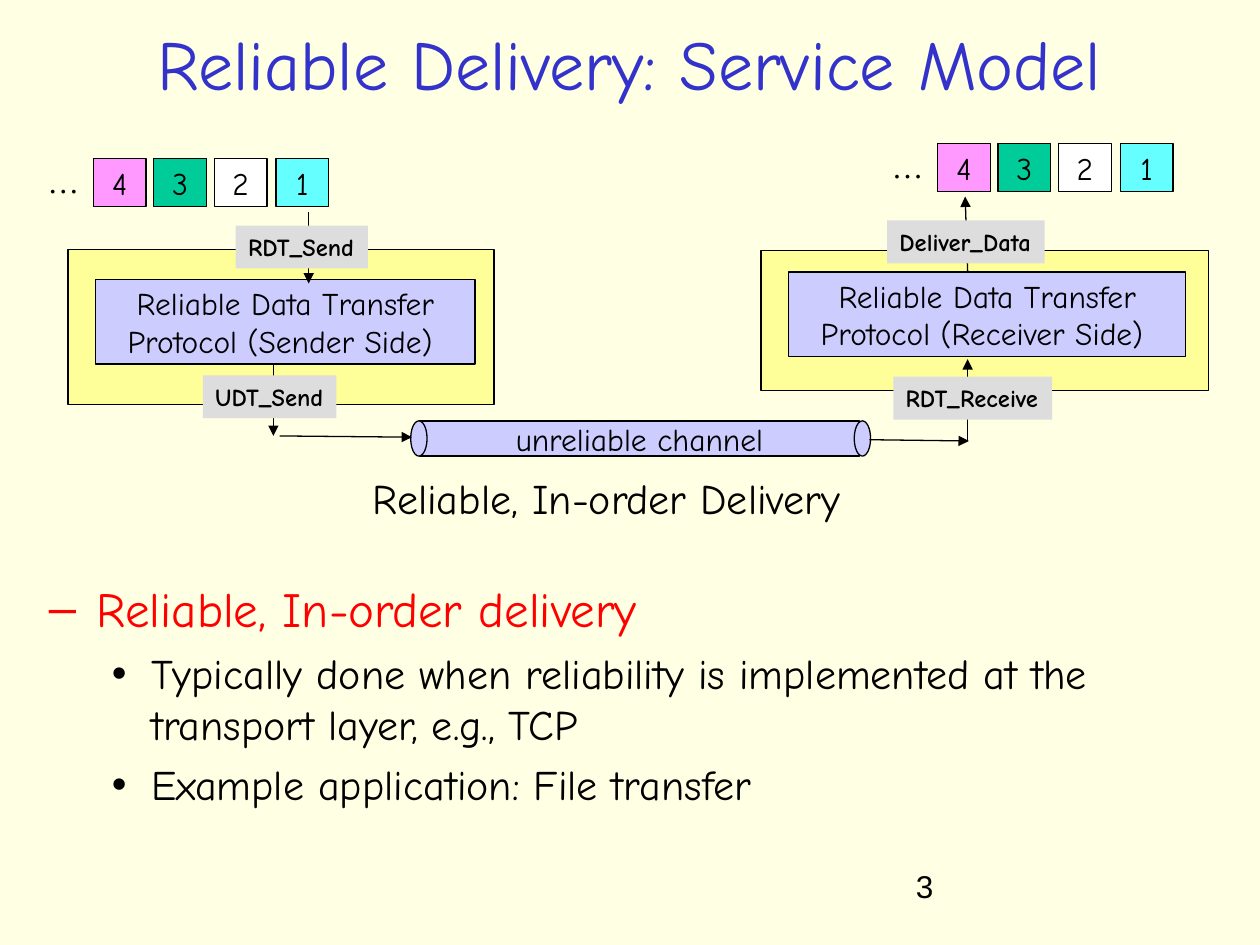
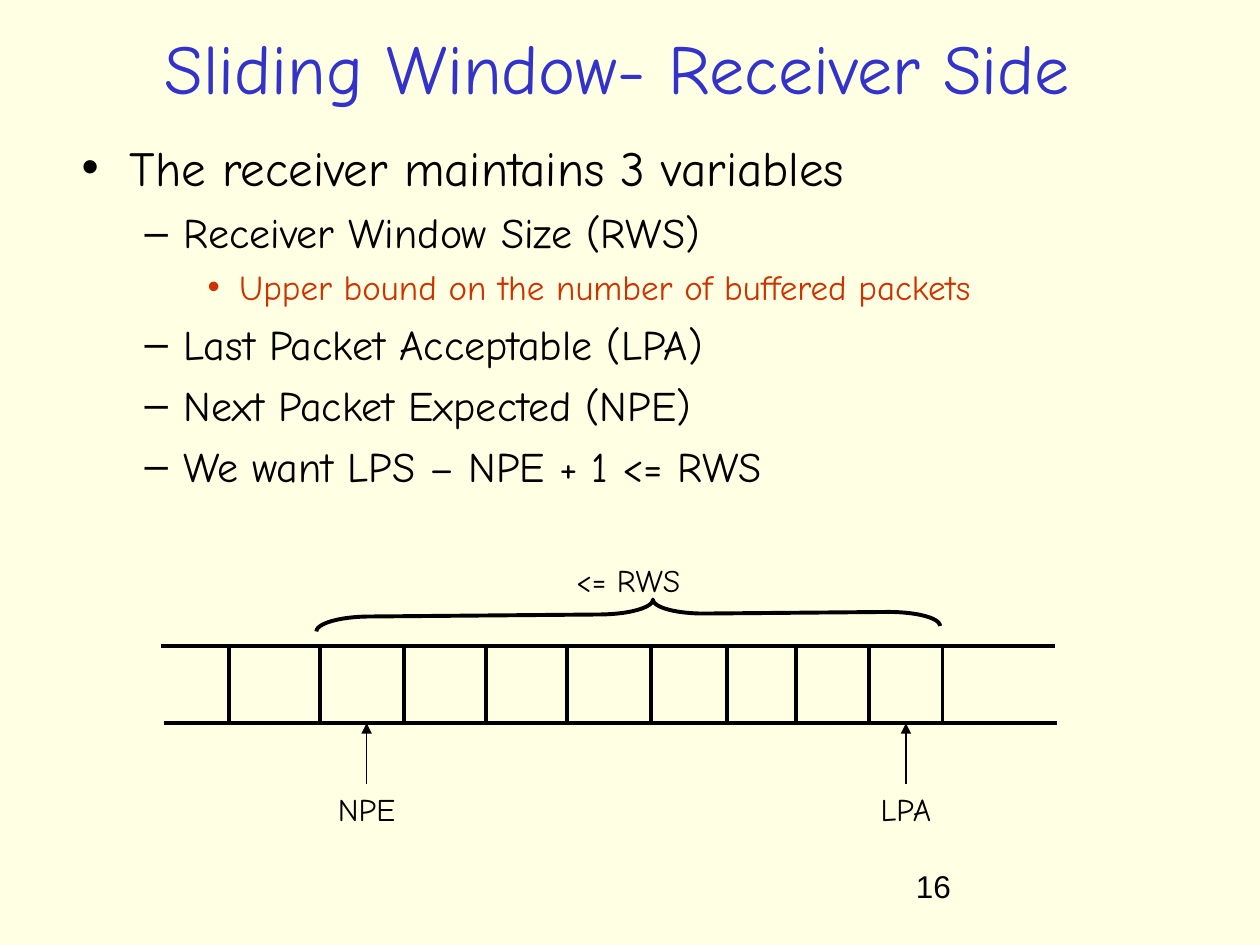
from dataclasses import dataclass
from typing import NamedTuple

from lxml import etree
from pptx import Presentation
from pptx import util as u
from pptx.dml.color import RGBColor
from pptx.enum import shapes, text
from pptx.oxml import ns

# Shared look
EMU_PER_PX = 9144  # 100 px to the inch
FONT = "Comic Neue"
BLACK, WHITE, RED, RUST = "000000", "FFFFFF", "FF0000", "CC3300"
CREAM, TITLE_BLUE = "FFFFE3", "3333CC"
LAVENDER, YELLOW, GREY = "CCCCFF", "FFFF99", "DDDDDD"
LEFT, CENTER = text.PP_ALIGN.LEFT, text.PP_ALIGN.CENTER
TOP, MIDDLE = text.MSO_ANCHOR.TOP, text.MSO_ANCHOR.MIDDLE
THIN, THICK = 0.75, 2.25


class Box(NamedTuple):
    left: int
    top: int
    width: int
    height: int


class Arrow(NamedTuple):
    x1: int
    y1: int
    x2: int
    y2: int


class Tag(NamedTuple):
    name: str
    left: int
    top: int
    width: int


class Level(NamedTuple):
    margin: int
    hanging: int
    size: int
    space_before: int


class Bullet(NamedTuple):
    words: str
    level: int
    mark: str
    color: str = BLACK


class Pointer(NamedTuple):
    name: str
    x: int


@dataclass(frozen=True)
class Endpoint:
    panel: Box
    protocol: Box
    role: str
    packets_left: int
    packets_top: int
    arrows: tuple[Arrow, ...]
    tags: tuple[Tag, ...]


LEVELS = (Level(38, 38, 28, 7), Level(81, 31, 24, 6), Level(125, 25, 20, 5))


def px(length: int) -> u.Emu:
    return u.Emu(length * EMU_PER_PX)


def rgb(color: str) -> RGBColor:
    return RGBColor.from_string(color)


# Text
def write(frame, words: str, *, size: int = 18, color: str = BLACK, font: str = FONT,
          bold: bool = False, align=LEFT, space_before: int = 0):
    """Add one paragraph, filling the frame's first one if it is still empty."""
    first = frame.paragraphs[0]
    paragraph = frame.add_paragraph() if first.runs else first
    paragraph.alignment = align
    paragraph.space_before = u.Pt(space_before)
    run = paragraph.add_run()
    run.text = words
    run.font.size, run.font.name, run.font.bold = u.Pt(size), font, bold
    run.font.color.rgb = rgb(color)
    return paragraph


def set_frame(shape, *, anchor=TOP, wrap: bool = True, grow: bool = False):
    frame = shape.text_frame
    frame.word_wrap = wrap
    frame.vertical_anchor = anchor
    fit = text.MSO_AUTO_SIZE
    frame.auto_size = fit.SHAPE_TO_FIT_TEXT if grow else fit.NONE
    return frame


def add_label(slide, box: Box, words: str, *, anchor=TOP, wrap: bool = True,
              grow: bool = False, **style):
    label = slide.shapes.add_textbox(*map(px, box))
    write(set_frame(label, anchor=anchor, wrap=wrap, grow=grow), words, **style)
    return label


def add_bullets(slide, box: Box, bullets: tuple[Bullet, ...]) -> None:
    frame = set_frame(slide.shapes.add_textbox(*map(px, box)))
    for bullet in bullets:
        level = LEVELS[bullet.level]
        paragraph = write(frame, bullet.words, size=level.size, color=bullet.color,
                          space_before=level.space_before)
        paragraph.level = bullet.level
        props = paragraph._p.get_or_add_pPr()
        props.set("marL", str(px(level.margin)))
        props.set("indent", str(-px(level.hanging)))
        mark_color = etree.SubElement(props, ns.qn("a:buClr"))
        etree.SubElement(mark_color, ns.qn("a:srgbClr"), val=bullet.color)
        etree.SubElement(props, ns.qn("a:buFont"), typeface="Arial")
        etree.SubElement(props, ns.qn("a:buChar"), char=bullet.mark)


# Shapes and lines
def add_block(slide, box: Box, fill: str, *, outlined: bool = True,
              kind=shapes.MSO_SHAPE.RECTANGLE):
    block = slide.shapes.add_shape(kind, *map(px, box))
    block.shadow.inherit = False
    block.fill.solid()
    block.fill.fore_color.rgb = rgb(fill)
    if outlined:
        block.line.color.rgb = rgb(BLACK)
        block.line.width = u.Pt(THIN)
    else:
        block.line.fill.background()
    return block


def add_captioned_block(slide, box: Box, fill: str, *lines: str) -> None:
    frame = set_frame(add_block(slide, box, fill), anchor=MIDDLE, wrap=False)
    for line in lines:
        write(frame, line, align=CENTER)


def add_line(slide, ends: Arrow, *, weight: float = THIN, arrowhead: bool = True):
    line = slide.shapes.add_connector(shapes.MSO_CONNECTOR.STRAIGHT, *map(px, ends))
    line.line.color.rgb = rgb(BLACK)
    line.line.width = u.Pt(weight)
    if arrowhead:
        etree.SubElement(line.line._get_or_add_ln(), ns.qn("a:tailEnd"), type="triangle")
    etree.SubElement(line.element.spPr, ns.qn("a:effectLst"))
    return line


def start_slide(deck, title: str, title_box: Box, number: str):
    slide = deck.slides.add_slide(deck.slide_layouts[6])
    slide.background.fill.solid()
    slide.background.fill.fore_color.rgb = rgb(CREAM)
    add_label(slide, title_box, title, anchor=MIDDLE, size=40, color=TITLE_BLUE,
              align=CENTER)
    add_label(slide, Box(717, 683, 208, 50), number, font="Arial")
    return slide


# Service model slide
PACKETS = (("4", "FF99FF"), ("3", "00CC99"), ("2", WHITE), ("1", "66FFFF"))
SENDER = Endpoint(
    Box(54, 198, 338, 123), Box(76, 222, 301, 67), "Sender", 74, 126,
    (Arrow(245, 168, 245, 225), Arrow(217, 290, 217, 346)),
    (Tag("RDT_Send", 187, 179, 105), Tag("UDT_Send", 161, 298, 106)))
RECEIVER = Endpoint(
    Box(604, 199, 355, 111), Box(626, 216, 315, 67), "Receiver", 744, 114,
    (Arrow(768, 216, 766, 156), Arrow(768, 350, 768, 285)),
    (Tag("Deliver_Data", 704, 175, 125), Tag("RDT_Receive", 709, 299, 126)))


def add_endpoint(slide, end: Endpoint) -> None:
    add_block(slide, end.panel, YELLOW)
    add_captioned_block(slide, end.protocol, LAVENDER, "Reliable Data Transfer",
                        f"Protocol ({end.role} Side) ")
    for arrow in end.arrows:
        add_line(slide, arrow)
    for tag in end.tags:
        block = add_block(slide, Box(tag.left, tag.top, tag.width, 34), GREY,
                          outlined=False)
        write(set_frame(block, wrap=False, grow=True), tag.name, size=14, bold=True)

    # Packet queue
    add_label(slide, Box(end.packets_left - 46, end.packets_top - 2, 45, 40), "…",
              wrap=False, grow=True, font="Times New Roman")
    for i, (number, fill) in enumerate(PACKETS):
        left = end.packets_left + i * 145 // 3
        add_captioned_block(slide, Box(left, end.packets_top, 42, 38), fill, number)


def add_service_model(deck) -> None:
    slide = start_slide(deck, "Reliable Delivery: Service Model",
                        Box(35, 15, 929, 70), "3")
    add_label(slide, Box(286, 370, 440, 58), "Reliable, In-order Delivery",
              size=24, space_before=6)

    # Channel between the two sides
    add_captioned_block(slide, Box(333, 334, 349, 28), LAVENDER, "unreliable channel")
    for cap_left in (678, 326):
        add_block(slide, Box(cap_left, 334, 13, 28), LAVENDER,
                  kind=shapes.MSO_SHAPE.OVAL)
    add_line(slide, Arrow(222, 346, 327, 347))
    add_line(slide, Arrow(690, 349, 769, 350))

    for end in (SENDER, RECEIVER):
        add_endpoint(slide, end)

    add_bullets(slide, Box(29, 454, 945, 265), (
        Bullet("Reliable, In-order delivery", 0, "–", RED),
        Bullet("Typically done when reliability is implemented at the "
               "transport layer, e.g., TCP", 1, "•"),
        Bullet("Example application: File transfer", 1, "•")))


# Sliding window slide
RAILS = (Arrow(128, 513, 837, 513), Arrow(130, 574, 839, 574))
DIVIDERS = (182, 254, 321, 386, 450, 517, 577, 632, 690, 748)
POINTERS = (Pointer("NPE", 291), Pointer("LPA", 719))
POINTER_LABEL_WIDTH = 80


def add_receiver_window(deck) -> None:
    slide = start_slide(deck, "Sliding Window- Receiver Side",
                        Box(29, 15, 922, 76), "16")
    add_bullets(slide, Box(55, 104, 904, 313), (
        Bullet("The receiver maintains 3 variables", 0, "•"),
        Bullet("Receiver Window Size (RWS)", 1, "–"),
        Bullet("Upper bound on the number of buffered packets", 2, "•", RUST),
        Bullet("Last Packet Acceptable (LPA)", 1, "–"),
        Bullet("Next Packet Expected (NPE)", 1, "–"),
        Bullet("We want LPS – NPE + 1 <= RWS", 1, "–")))

    # Packet buffer
    cuts = tuple(Arrow(x, 513, x, 573) for x in DIVIDERS)
    for ends in RAILS + cuts:
        add_line(slide, ends, weight=THICK, arrowhead=False)

    # Window span
    brace = add_block(slide, Box(487, 240, 23, 495), WHITE,
                      kind=shapes.MSO_SHAPE.LEFT_BRACE)
    brace.fill.background()
    brace.line.width = u.Pt(THICK)
    brace.rotation = 89.5
    brace.adjustments[0], brace.adjustments[1] = 1.82, 0.46
    add_label(slide, Box(443, 440, 111, 40), "<= RWS", wrap=False, grow=True,
              align=CENTER)

    # Window edges
    for pointer in POINTERS:
        box = Box(pointer.x - POINTER_LABEL_WIDTH // 2, 622, POINTER_LABEL_WIDTH, 40)
        label = add_label(slide, box, pointer.name, wrap=False, grow=True, align=CENTER)
        arrow = add_line(slide, Arrow(pointer.x, box.top, pointer.x, 574))
        arrow.begin_connect(label, 0)


def main() -> None:
    deck = Presentation()
    deck.slide_width, deck.slide_height = px(1000), px(750)
    add_service_model(deck)
    add_receiver_window(deck)
    deck.save("out.pptx")


if __name__ == "__main__":
    main()
